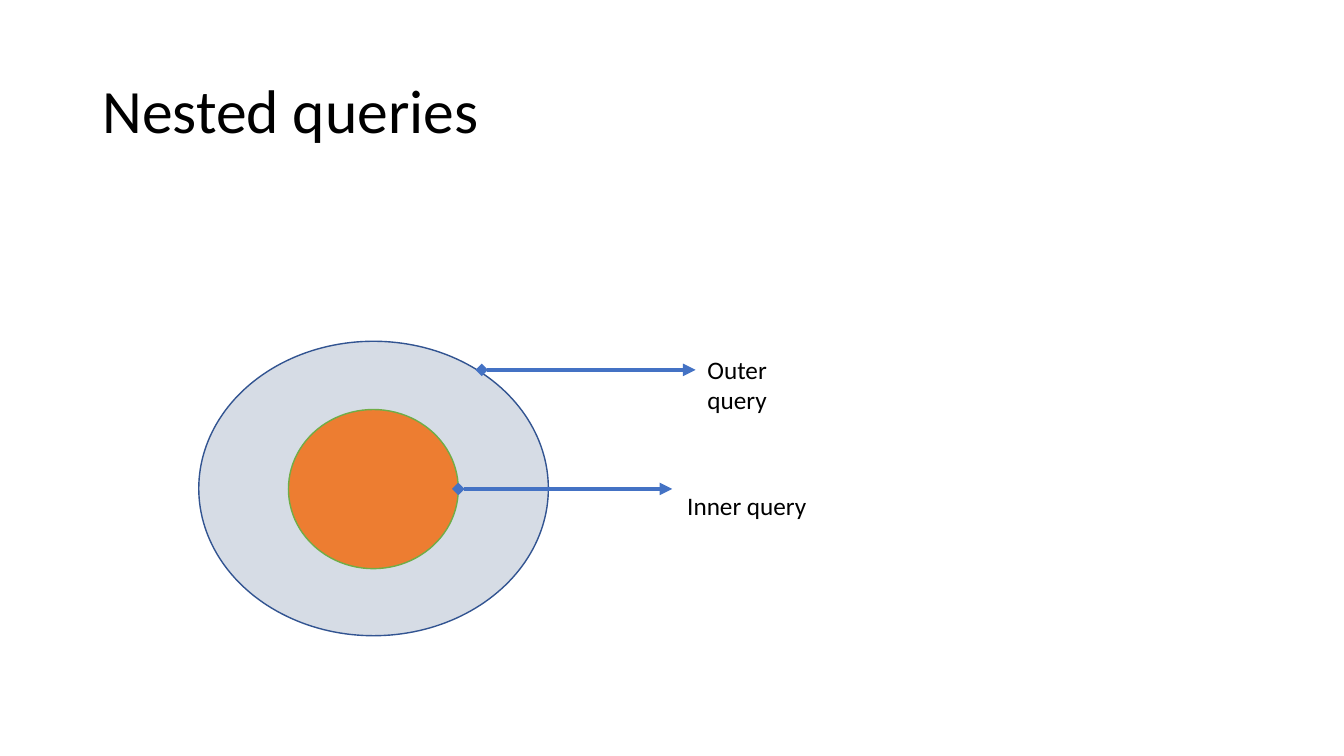
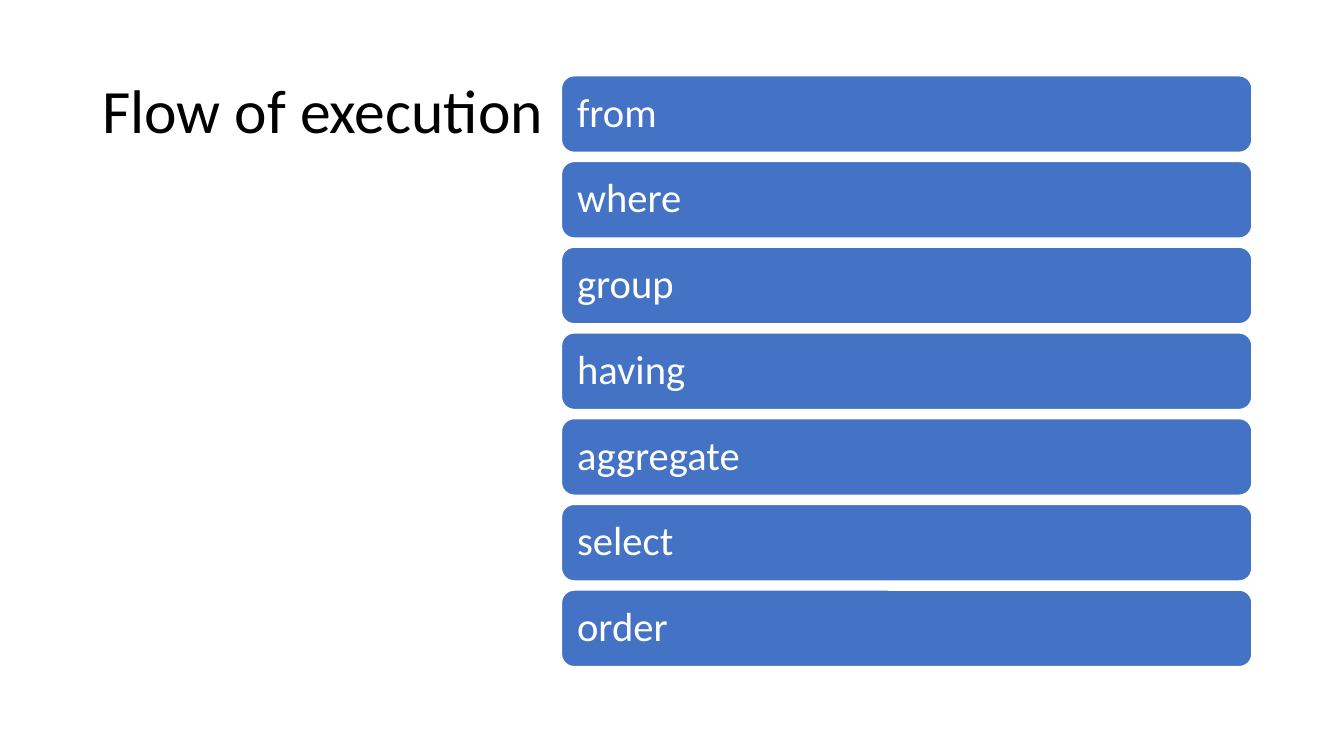
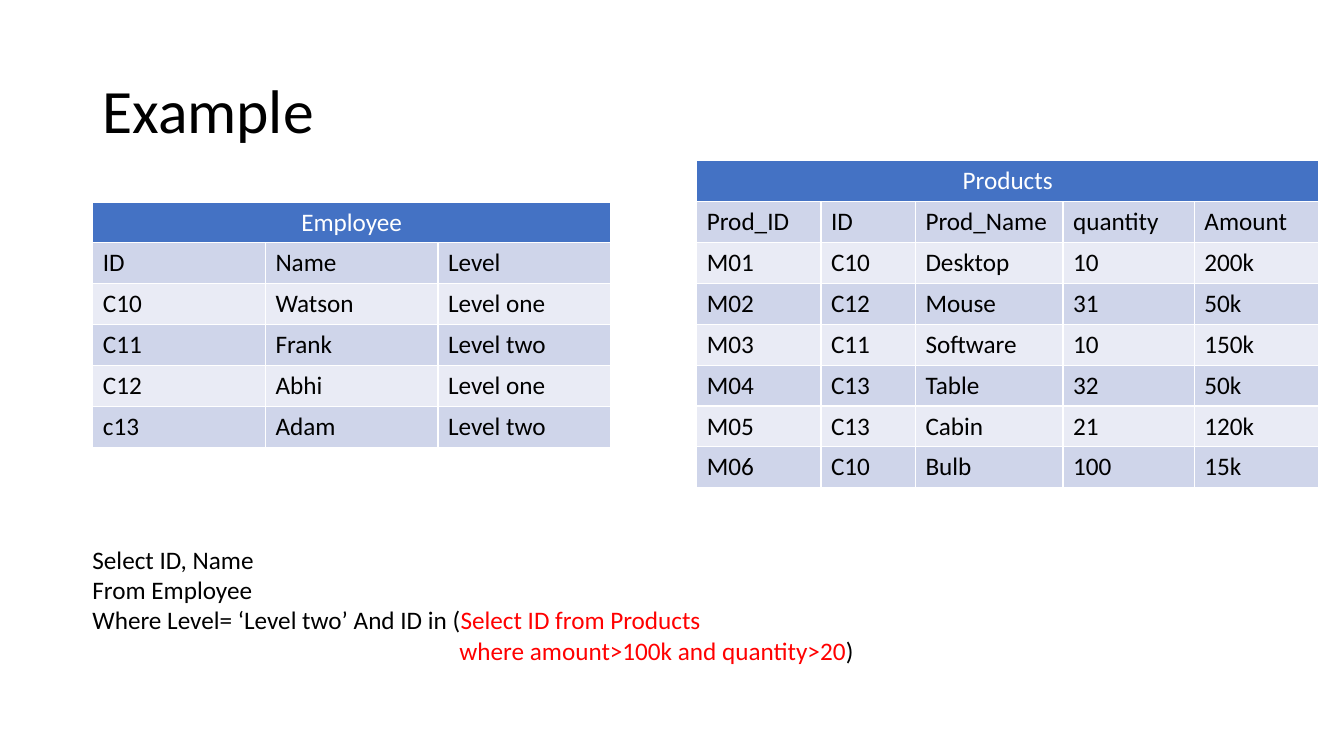
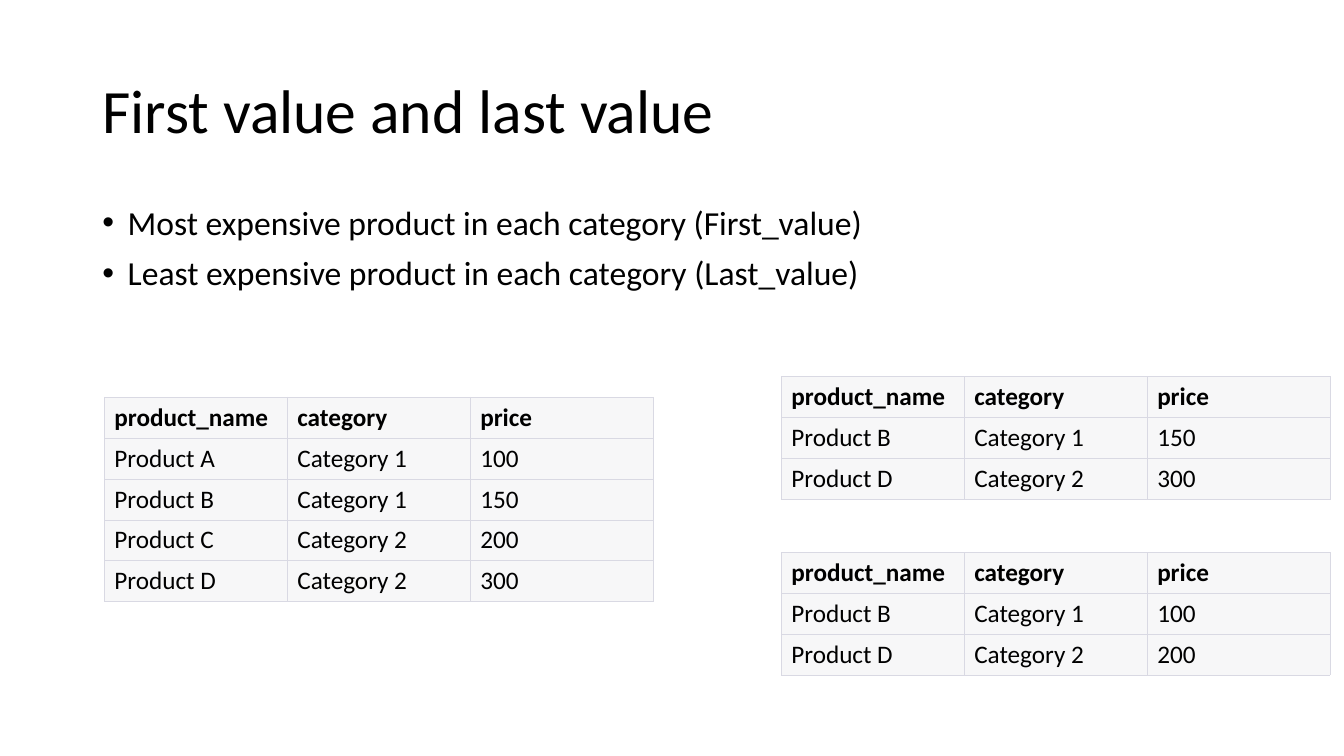
from lxml import etree
from pptx import Presentation
from pptx import util as u
from pptx.dml.color import RGBColor
from pptx.enum import shapes, text
from pptx.oxml import ns

FONT = "Calibri"
COLORS = {
    "text": "000000", "white": "FFFFFF", "blue": "4472C4", "outline": "325491",
    "outer": "D6DCE5", "inner": "ED7D31", "green": "70AD47", "red": "FF0000",
    "band_dark": "CFD5EA", "band_light": "E9EBF5", "plain": "F7F7F8", "grid": "D9D9E3",
}
RGB = {name: RGBColor.from_string(value) for name, value in COLORS.items()}
ROW_HEIGHT = 1.03


def add_text(slide, left, top, width, height, lines, size):
    """Add a text box; each line is a list of (wording, colour name)."""
    box = slide.shapes.add_textbox(u.Cm(left), u.Cm(top), u.Cm(width), u.Cm(height))
    frame = box.text_frame
    frame.word_wrap = True
    for index, line in enumerate(lines):
        paragraph = frame.paragraphs[0] if index == 0 else frame.add_paragraph()
        for wording, color in line:
            run = paragraph.add_run()
            run.text = wording
            run.font.name, run.font.size = FONT, u.Pt(size)
            run.font.color.rgb = RGB[color]
    return frame


def add_table(slide, left, top, widths, rows, fills, border, weight, title=None):
    """Add a table with cycling row fills and an optional merged title row."""
    if title:
        rows = [[title] + [""] * (len(widths) - 1)] + rows
    frame = slide.shapes.add_table(len(rows), len(widths), u.Cm(left), u.Cm(top),
                                   u.Cm(sum(widths)), u.Cm(ROW_HEIGHT * len(rows)))
    table = frame.table
    table.horz_banding = False
    for column, width in zip(table.columns, widths):
        column.width = u.Cm(width)
    for row_index, values in enumerate(rows):
        table.rows[row_index].height = u.Cm(ROW_HEIGHT)
        is_title = bool(title) and row_index == 0
        for column_index, value in enumerate(values):
            cell = table.cell(row_index, column_index)
            cell.text = value
            paragraph = cell.text_frame.paragraphs[0]
            paragraph.font.name, paragraph.font.size = FONT, u.Pt(18)
            paragraph.font.bold = row_index == 0 and not title
            paragraph.font.color.rgb = RGB["white" if is_title else "text"]
            if is_title:
                paragraph.alignment = text.PP_ALIGN.CENTER
            cell.fill.solid()
            cell.fill.fore_color.rgb = RGB["blue" if is_title else fills[(row_index - 1) % len(fills)]]
            properties = cell._tc.get_or_add_tcPr()
            for position, side in enumerate("LRTB"):
                line = etree.Element(ns.qn(f"a:ln{side}"), w=str(u.Pt(weight)))
                fill = etree.SubElement(line, ns.qn("a:solidFill"))
                etree.SubElement(fill, ns.qn("a:srgbClr"), val=COLORS[border])
                properties.insert(position, line)
    if title:
        table.cell(0, 0).merge(table.cell(0, len(widths) - 1))


presentation = Presentation()
presentation.slide_width, presentation.slide_height = u.Cm(33.87), u.Cm(19.05)

# Slides with their shared title
slides = []
for title in ("Nested queries", "Flow of execution", "Example", "First value and last value"):
    slide = presentation.slides.add_slide(presentation.slide_layouts[6])
    frame = add_text(slide, 2.33, 1.01, 29.21, 3.68, [[(title, "text")]], 44)
    frame.vertical_anchor = text.MSO_ANCHOR.MIDDLE
    frame.paragraphs[0].line_spacing = 0.9
    slides.append(slide)
nested_slide, flow_slide, example_slide, value_slide = slides

# Nested queries: one ellipse inside the other
for left, top, width, height, fill, line in (
    (5.01, 8.6, 8.81, 7.42, "outer", "outline"),
    (7.27, 10.32, 4.28, 4.01, "inner", "green"),
):
    shape = nested_slide.shapes.add_shape(shapes.MSO_SHAPE.OVAL, u.Cm(left), u.Cm(top),
                                          u.Cm(width), u.Cm(height))
    shape.shadow.inherit = False
    shape.fill.solid()
    shape.fill.fore_color.rgb = RGB[fill]
    shape.line.color.rgb = RGB[line]
    shape.line.width = u.Pt(1)

# Arrows and labels
for start, y, label, label_left, label_top in (
    (11.55, 12.32, "Inner query", 17.07, 12.22),
    (12.14, 9.32, "Outer query", 17.58, 8.81),
):
    arrow = nested_slide.shapes.add_connector(shapes.MSO_CONNECTOR.STRAIGHT, u.Cm(start), u.Cm(y),
                                              u.Cm(start + 5.39), u.Cm(y))
    arrow.line.color.rgb = RGB["blue"]
    arrow.line.width = u.Pt(3)
    line = arrow.line._get_or_add_ln()
    etree.SubElement(line, ns.qn("a:headEnd"), type="diamond")
    etree.SubElement(line, ns.qn("a:tailEnd"), type="triangle")
    etree.SubElement(arrow._element.spPr, ns.qn("a:effectLst"))
    frame = add_text(nested_slide, label_left, label_top, 3.6, 1.03, [[(label, "text")]], 18)
    frame.word_wrap = False

# Flow of execution: equally spaced bars
for index, step in enumerate(("from", "where", "group", "having", "aggregate", "select", "order")):
    shape = flow_slide.shapes.add_shape(shapes.MSO_SHAPE.ROUNDED_RECTANGLE, u.Cm(14.15),
                                        u.Cm(1.91 + 2.16 * index), u.Cm(17.4), u.Cm(1.93))
    shape.shadow.inherit = False
    shape.fill.solid()
    shape.fill.fore_color.rgb = RGB["blue"]
    shape.line.color.rgb = RGB["white"]
    shape.line.width = u.Pt(1)
    frame = shape.text_frame
    frame.text = step
    frame.margin_left = u.Cm(0.3)
    frame.vertical_anchor = text.MSO_ANCHOR.MIDDLE
    paragraph = frame.paragraphs[0]
    paragraph.alignment = text.PP_ALIGN.LEFT
    paragraph.line_spacing = 0.9
    paragraph.font.name, paragraph.font.size = FONT, u.Pt(29)
    paragraph.font.color.rgb = RGB["white"]

# Example: two banded tables
bands = ("band_dark", "band_light")
employees = [
    ["ID", "Name", "Level"],
    ["C10", "Watson", "Level one"],
    ["C11", "Frank", "Level two"],
    ["C12", "Abhi", "Level one"],
    ["c13", "Adam", "Level two"],
]
products = [
    ["Prod_ID", "ID", "Prod_Name", "quantity", "Amount"],
    ["M01", "C10", "Desktop", "10", "200k"],
    ["M02", "C12", "Mouse", "31", "50k"],
    ["M03", "C11", "Software", "10", "150k"],
    ["M04", "C13", "Table", "32", "50k"],
    ["M05", "C13", "Cabin", "21", "120k"],
    ["M06", "C10", "Bulb", "100", "15k"],
]
add_table(example_slide, 2.34, 5.09, [4.35] * 3, employees, bands, "white", 1, "Employee")
add_table(example_slide, 17.56, 4.05, [3.13, 2.38, 3.72, 3.31, 3.13], products, bands,
          "white", 1, "Products")

# Example: query with its inner part in red
query = add_text(example_slide, 2.08, 13.59, 20.88, 3.33, [
    [("Select ID, Name", "text")],
    [("From Employee", "text")],
    [("Where Level= ‘Level two’ And ID in (", "text"), ("Select ID from Products", "red")],
    [("where amount>100k and quantity>20", "red"), (")", "text")],
], 18)
query.paragraphs[3]._p.get_or_add_pPr().set("marL", str(u.Cm(9.25)))

# First and last value: bullets
bullets = add_text(value_slide, 2.33, 5.07, 29.21, 12.09, [
    [("Most expensive product in each category (First_value)", "text")],
    [("Least expensive product in each category (Last_value)", "text")],
], 24)
for index, paragraph in enumerate(bullets.paragraphs):
    properties = paragraph._p.get_or_add_pPr()
    properties.set("marL", str(u.Cm(0.64)))
    properties.set("indent", str(-u.Cm(0.64)))
    etree.SubElement(properties, ns.qn("a:buFont"), typeface="Arial")
    etree.SubElement(properties, ns.qn("a:buChar"), char="•")
    paragraph.line_spacing = 0.9
    if index:
        paragraph.space_before = u.Pt(10)

# First and last value: all products, then the two results
header = ["product_name", "category", "price"]
for left, top, rows in (
    (2.63, 10.01, [["Product A", "Category 1", "100"], ["Product B", "Category 1", "150"],
                   ["Product C", "Category 2", "200"], ["Product D", "Category 2", "300"]]),
    (19.69, 9.49, [["Product B", "Category 1", "150"], ["Product D", "Category 2", "300"]]),
    (19.69, 13.92, [["Product B", "Category 1", "100"], ["Product D", "Category 2", "200"]]),
):
    add_table(value_slide, left, top, [4.61] * 3, [header] + rows, ["plain"], "grid", 0.6)

presentation.save("out.pptx")
